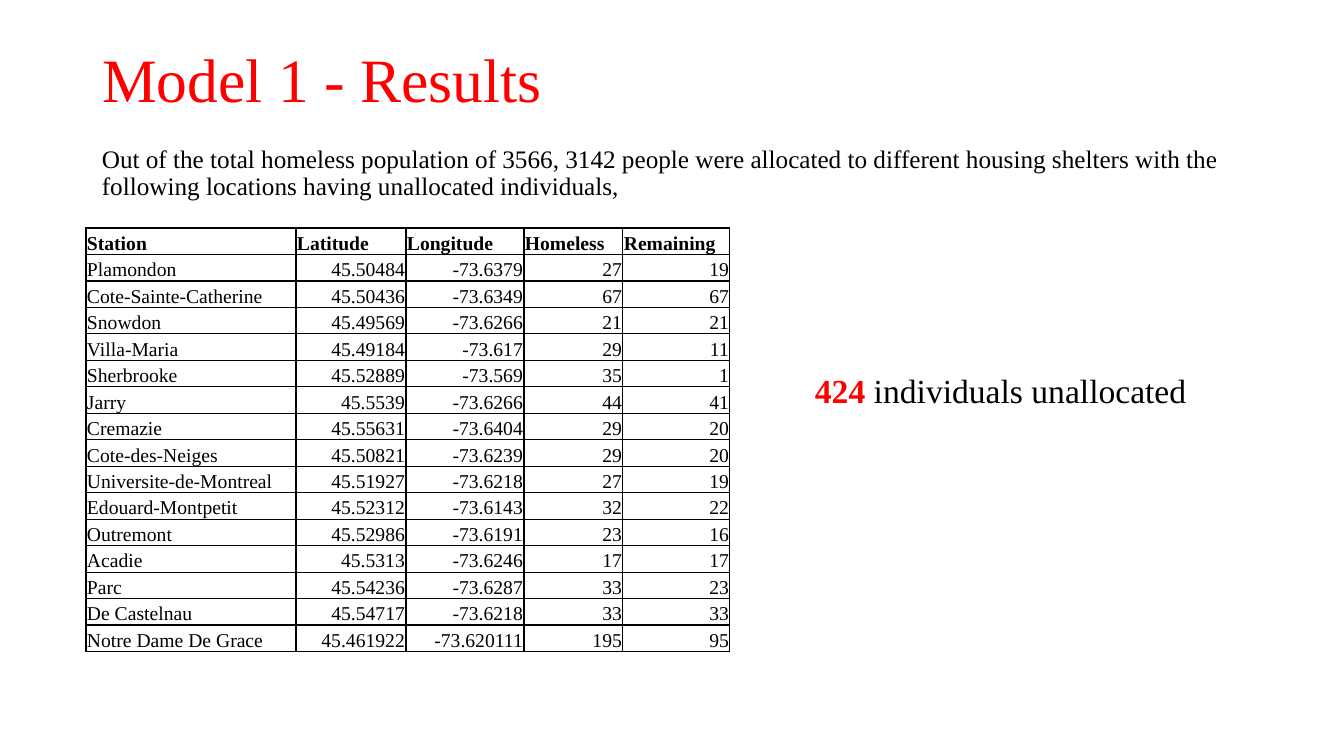
from lxml import etree
from pptx import Presentation
from pptx.dml.color import RGBColor
from pptx.enum.text import MSO_ANCHOR, MSO_AUTO_SIZE, PP_ALIGN
from pptx.oxml.ns import qn
from pptx.util import Emu, Pt

LEFT, RIGHT = PP_ALIGN.LEFT, PP_ALIGN.RIGHT
TOP, MIDDLE, BOTTOM = MSO_ANCHOR.TOP, MSO_ANCHOR.MIDDLE, MSO_ANCHOR.BOTTOM
NO_AUTOFIT = MSO_AUTO_SIZE.NONE
FONT = "Times New Roman"
COLORS = {"accent": "FF0000", "ink": "000000"}
TITLE_ONLY = 5


def px(pixels):
    return Emu(round(pixels * 914400 / 100.8))


def add_run(paragraph, text, size, color="ink", bold=False):
    run = paragraph.add_run()
    run.text = text
    run.font.name = FONT
    run.font.size = Pt(size)
    run.font.bold = bold
    run.font.color.rgb = RGBColor.from_string(COLORS[color])


prs = Presentation()
prs.slide_width, prs.slide_height = px(1344), px(756)
slide = prs.slides.add_slide(prs.slide_layouts[TITLE_ONLY])

title = slide.shapes.title
title.left, title.top, title.width, title.height = px(92), px(10), px(1160), px(146)
title.text_frame.auto_size = NO_AUTOFIT
title.text_frame.vertical_anchor = MIDDLE
heading = title.text_frame.paragraphs[0]
heading.alignment = LEFT
heading.line_spacing = 0.9
add_run(heading, "Model 1 - Results", 44, "accent")

summary = slide.shapes.add_textbox(px(92), px(142), px(1160), px(70)).text_frame
summary.word_wrap = True
summary.vertical_anchor = TOP
allocation = summary.paragraphs[0]
allocation.line_spacing = 0.9
allocation.space_before = Pt(10)
add_run(allocation, "Out of the total homeless population of 3566, 3142 people were allocated to "
        "different housing shelters with the following locations having unallocated individuals,", 18)

callout = slide.shapes.add_textbox(px(805), px(365), px(523), px(50)).text_frame
callout.word_wrap = True
unallocated = callout.paragraphs[0]
add_run(unallocated, "424 ", 24, "accent", True)
add_run(unallocated, "individuals unallocated", 24)

stations = [
    ("Station", "Latitude", "Longitude", "Homeless", "Remaining"),
    ("Plamondon", "45.50484", "-73.6379", "27", "19"),
    ("Cote-Sainte-Catherine", "45.50436", "-73.6349", "67", "67"),
    ("Snowdon", "45.49569", "-73.6266", "21", "21"),
    ("Villa-Maria", "45.49184", "-73.617", "29", "11"),
    ("Sherbrooke", "45.52889", "-73.569", "35", "1"),
    ("Jarry", "45.5539", "-73.6266", "44", "41"),
    ("Cremazie", "45.55631", "-73.6404", "29", "20"),
    ("Cote-des-Neiges", "45.50821", "-73.6239", "29", "20"),
    ("Universite-de-Montreal", "45.51927", "-73.6218", "27", "19"),
    ("Edouard-Montpetit", "45.52312", "-73.6143", "32", "22"),
    ("Outremont", "45.52986", "-73.6191", "23", "16"),
    ("Acadie", "45.5313", "-73.6246", "17", "17"),
    ("Parc", "45.54236", "-73.6287", "33", "23"),
    ("De Castelnau", "45.54717", "-73.6218", "33", "33"),
    ("Notre Dame De Grace", "45.461922", "-73.620111", "195", "95"),
]
column_widths = [210, 110, 118, 99, 107]

table = slide.shapes.add_table(len(stations), len(column_widths), px(86), px(228),
                               px(sum(column_widths)), px(424)).table
table.first_row = False
table.horz_banding = False
for column, width in zip(table.columns, column_widths):
    column.width = px(width)

for r, station in enumerate(stations):
    for c, value in enumerate(station):
        cell = table.cell(r, c)
        cell.margin_left = cell.margin_top = cell.margin_right = px(1)
        cell.margin_bottom = 0
        cell.vertical_anchor = BOTTOM
        entry = cell.text_frame.paragraphs[0]
        entry.alignment = RIGHT if r and c else LEFT
        add_run(entry, value, 14, bold=r == 0)
        properties = cell._tc.get_or_add_tcPr()
        for side in ("a:lnL", "a:lnR", "a:lnT", "a:lnB"):
            border = etree.SubElement(properties, qn(side), w=str(Pt(1)))
            ink = etree.SubElement(border, qn("a:solidFill"))
            etree.SubElement(ink, qn("a:srgbClr"), val=COLORS["ink"])
        cell.fill.background()

prs.save("out.pptx")
